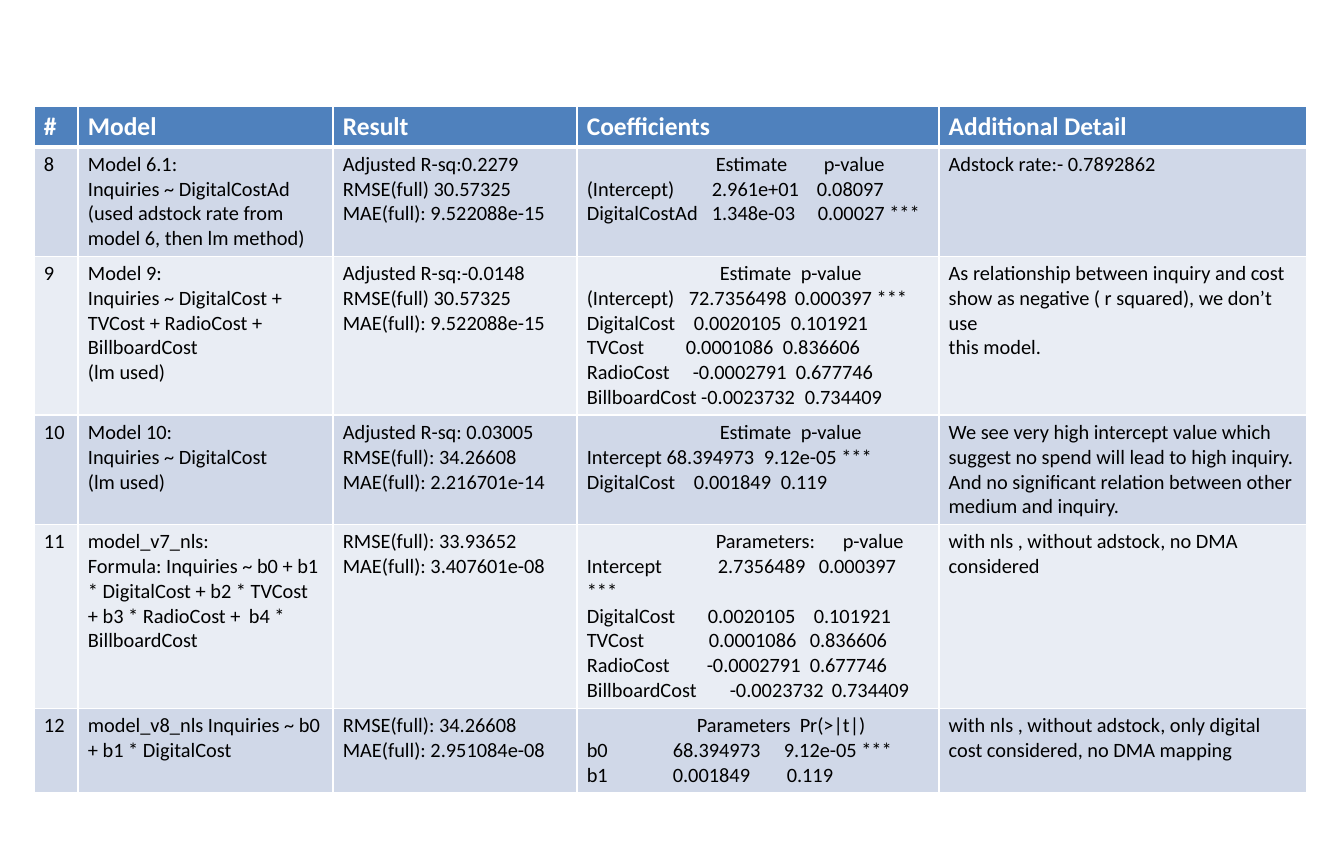
from dataclasses import dataclass

from lxml import etree
from pptx import Presentation
from pptx.dml.color import RGBColor
from pptx.oxml.ns import qn
from pptx.util import Inches, Pt

PIXEL = 914400 / 122.2  # EMU in one pixel
BLANK_LAYOUT = 6


@dataclass(frozen=True)
class Theme:
    font: str = "Calibri"
    header_size: int = 15
    body_size: int = 12
    header_fill: str = "4F81BD"
    band_fills: tuple = ("D0D8E8", "E9EDF4")
    light: str = "FFFFFF"
    dark: str = "000000"
    border: int = 1
    header_border: int = 3


THEME = Theme()


def write_cell(cell, lines, *, size, color, bold=False):
    """Write lines; a tuple holds a tabbed line and its tab stops in pixels."""
    text_frame = cell.text_frame
    for index, line in enumerate(lines):
        text, *stops = line if isinstance(line, tuple) else (line,)
        paragraph = text_frame.add_paragraph() if index else text_frame.paragraphs[0]
        run = paragraph.add_run()
        run.text = text
        run.font.name = THEME.font
        run.font.size = Pt(size)
        run.font.bold = bold
        run.font.color.rgb = RGBColor.from_string(color)
        if stops:
            properties = paragraph._p.get_or_add_pPr()
            tab_list = etree.SubElement(properties, qn("a:tabLst"))
            for stop in stops:
                etree.SubElement(tab_list, qn("a:tab"), pos=str(round(stop * PIXEL)), algn="l")


def style_cell(cell, fill, top, bottom):
    """Set the margins, the border widths in points and the fill of a cell."""
    cell.margin_left = cell.margin_right = round(10 * PIXEL)
    cell.margin_top = cell.margin_bottom = round(5 * PIXEL)
    properties = cell._tc.get_or_add_tcPr()
    widths = {"L": THEME.border, "R": THEME.border, "T": top, "B": bottom}
    for side, width in widths.items():
        line = etree.SubElement(properties, qn(f"a:ln{side}"), w=str(Pt(width)))
        solid = etree.SubElement(line, qn("a:solidFill"))
        etree.SubElement(solid, qn("a:srgbClr"), val=THEME.light)
    cell.fill.solid()
    cell.fill.fore_color.rgb = RGBColor.from_string(fill)


HEADERS = ["#", "Model", "Result", "Coefficients", "Additional Detail"]
MODELS = [
    (
        ["8"],
        ["Model 6.1:", "Inquiries ~ DigitalCostAd",
         "(used adstock rate from model 6, then lm method)"],
        ["Adjusted R-sq:0.2279", "RMSE(full) 30.57325", "MAE(full): 9.522088e-15"],
        [("\tEstimate\tp-value", 129, 237),
         ("(Intercept)\t2.961e+01\t0.08097", 125, 230),
         ("DigitalCostAd\t1.348e-03\t0.00027 ***", 125, 231)],
        ["Adstock rate:- 0.7892862"],
    ),
    (
        ["9"],
        ["Model 9:", "Inquiries ~ DigitalCost + TVCost + RadioCost + BillboardCost",
         "(lm used)"],
        ["Adjusted R-sq:-0.0148", "RMSE(full) 30.57325", "MAE(full): 9.522088e-15"],
        [("\tEstimate\tp-value", 133, 214),
         ("(Intercept)\t72.7356498\t0.000397 ***", 102, 208),
         ("DigitalCost\t0.0020105\t0.101921", 107, 204),
         ("TVCost\t0.0001086\t0.836606", 99, 196),
         ("RadioCost\t-0.0002791\t0.677746", 106, 209),
         ("BillboardCost -0.0023732\t0.734409", 218)],
        ["As relationship between inquiry and cost show as negative ( r squared), "
         "we don’t use", "this model."],
    ),
    (
        ["10"],
        ["Model 10:", "Inquiries ~ DigitalCost", "(lm used)"],
        ["Adjusted R-sq: 0.03005", "RMSE(full): 34.26608", "MAE(full): 2.216701e-14"],
        [("\tEstimate\tp-value", 133, 214),
         ("Intercept 68.394973\t9.12e-05 ***", 177),
         ("DigitalCost\t0.001849\t0.119", 107, 194)],
        ["We see very high intercept value which suggest no spend will lead to high "
         "inquiry. And no significant relation between other medium and inquiry."],
    ),
    (
        ["11"],
        ["model_v7_nls:",
         ("Formula: Inquiries ~ b0 + b1 * DigitalCost + b2 * TVCost + "
          "b3 * RadioCost +\tb4 * BillboardCost", 161)],
        ["RMSE(full): 33.93652", "MAE(full): 3.407601e-08"],
        [("\tParameters:\tp-value", 129, 256),
         ("Intercept\t2.7356489\t0.000397", 131, 232),
         "***",
         ("DigitalCost\t0.0020105\t0.101921", 121, 227),
         ("TVCost\t0.0001086\t0.836606", 122, 223),
         ("RadioCost\t-0.0002791\t0.677746", 120, 223),
         ("BillboardCost\t-0.0023732\t0.734409", 143, 245)],
        ["with nls , without adstock, no DMA considered"],
    ),
    (
        ["12"],
        ["model_v8_nls Inquiries ~ b0 + b1 * DigitalCost"],
        ["RMSE(full): 34.26608", "MAE(full): 2.951084e-08"],
        [("\tParameters\tPr(>|t|)", 110, 213),
         ("b0\t68.394973\t9.12e-05 ***", 86, 197),
         ("b1\t0.001849\t0.119", 86, 200)],
        ["with nls , without adstock, only digital cost considered, no DMA mapping"],
    ),
]
COLUMN_WIDTHS = [44, 255, 244, 362, 368]
ROW_HEIGHTS = [40, 109, 159, 109, 184, 84]

presentation = Presentation()
presentation.slide_width, presentation.slide_height = Inches(11), Inches(7)
slide = presentation.slides.add_slide(presentation.slide_layouts[BLANK_LAYOUT])

frame = [34, 106, sum(COLUMN_WIDTHS), sum(ROW_HEIGHTS)]
table = slide.shapes.add_table(
    len(ROW_HEIGHTS), len(COLUMN_WIDTHS), *[round(value * PIXEL) for value in frame]
).table
for column, width in zip(table.columns, COLUMN_WIDTHS):
    column.width = round(width * PIXEL)
for row, height in zip(table.rows, ROW_HEIGHTS):
    row.height = round(height * PIXEL)

for column_index, header in enumerate(HEADERS):
    cell = table.cell(0, column_index)
    style_cell(cell, THEME.header_fill, THEME.border, THEME.header_border)
    write_cell(cell, [header], size=THEME.header_size, color=THEME.light, bold=True)

for row_index, model in enumerate(MODELS, start=1):
    top = THEME.header_border if row_index == 1 else THEME.border
    for column_index, lines in enumerate(model):
        cell = table.cell(row_index, column_index)
        style_cell(cell, THEME.band_fills[(row_index - 1) % 2], top, THEME.border)
        write_cell(cell, lines, size=THEME.body_size, color=THEME.dark)

presentation.save("out.pptx")
